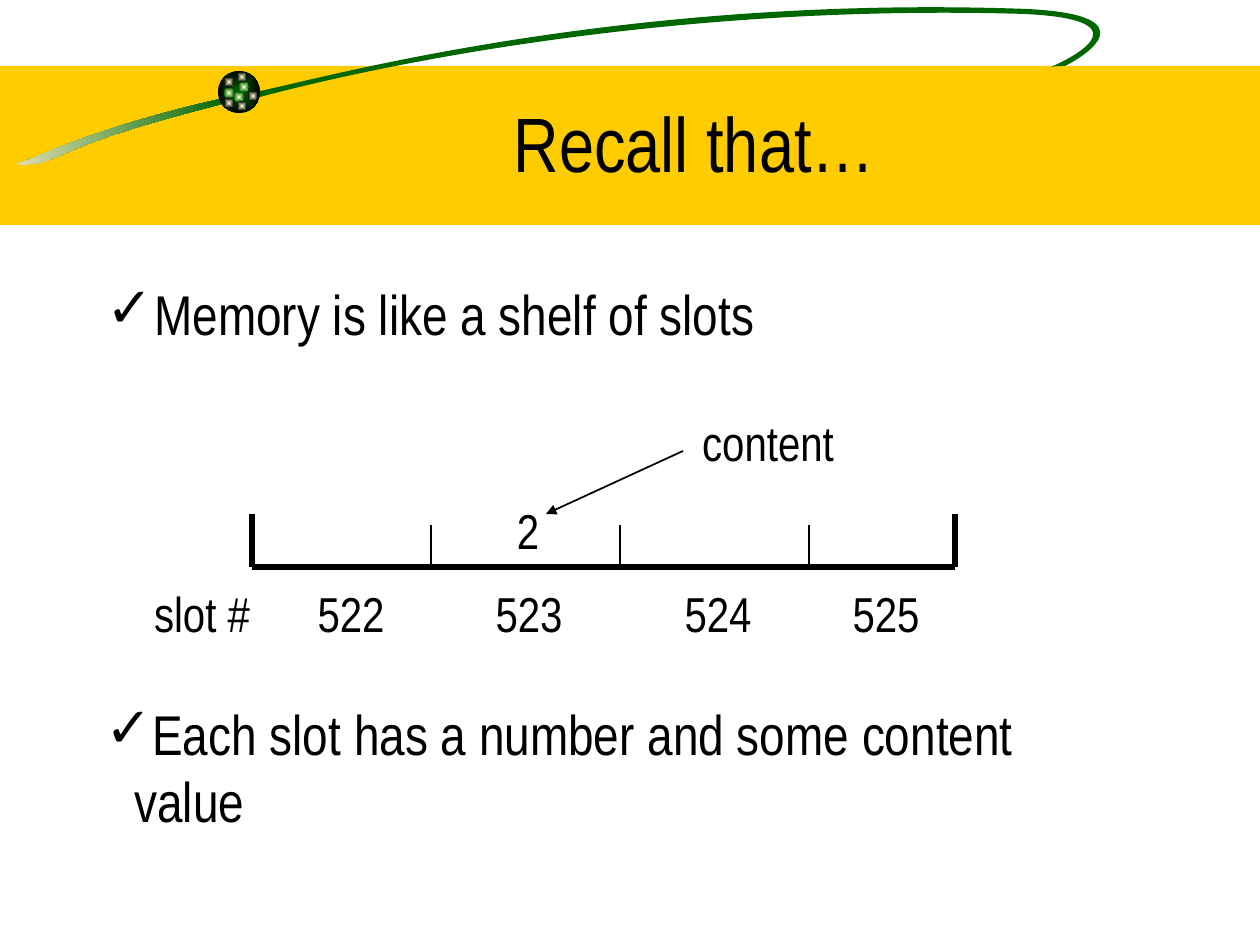
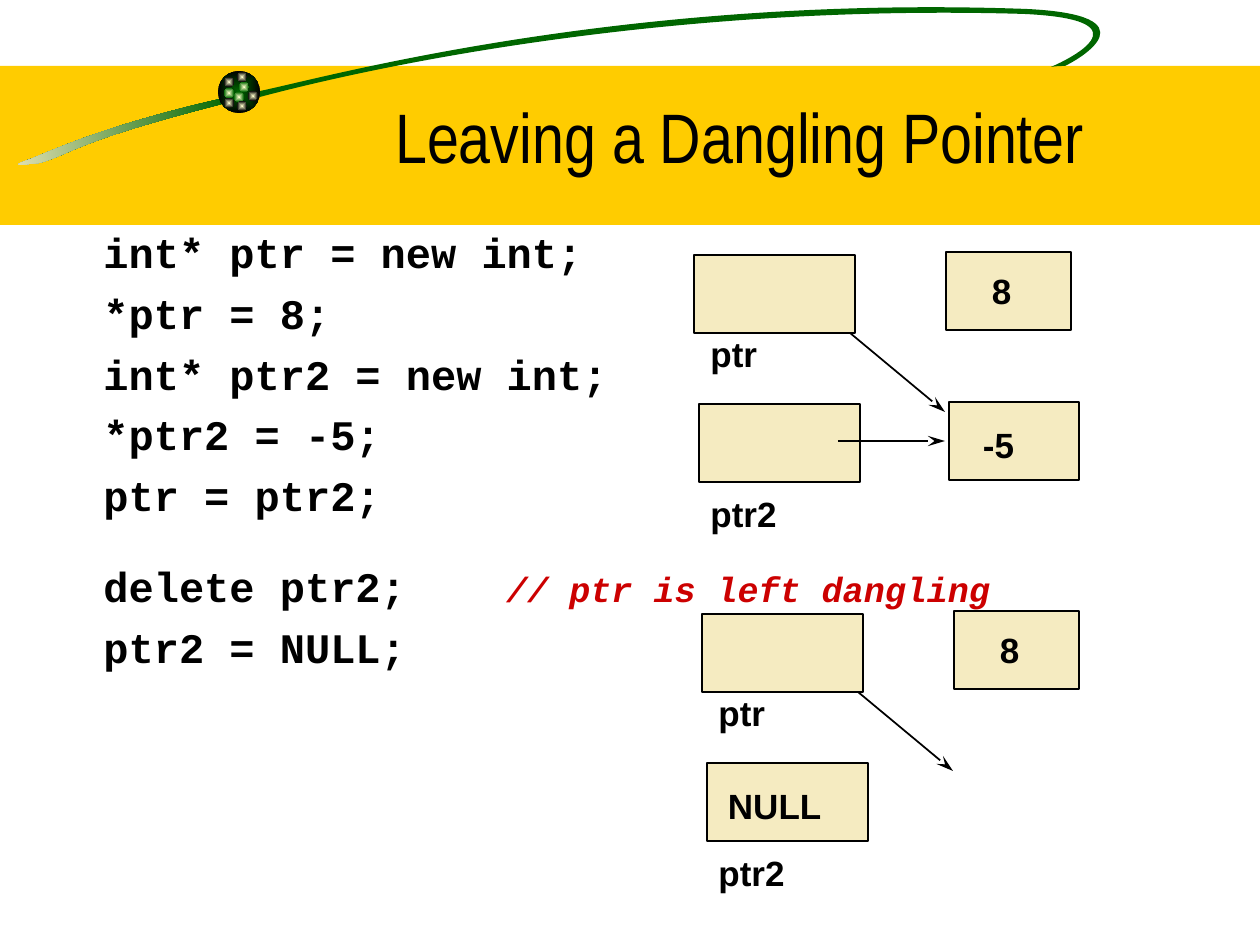
import dataclasses
import math

import lxml.etree
import pptx
import pptx.dml.color
import pptx.enum.shapes
import pptx.enum.text
import pptx.oxml.ns
import pptx.util

PX = 914400 / 126
TILT = -8.5
QN = pptx.oxml.ns.qn
SHAPE = pptx.enum.shapes.MSO_SHAPE
ANCHOR = pptx.enum.text.MSO_ANCHOR
ALIGN = pptx.enum.text.PP_ALIGN


@dataclasses.dataclass(frozen=True)
class Theme:
    """Colours, fonts and type sizes of the deck."""
    black: str = "000000"
    white: str = "FFFFFF"
    band: str = "FFCC00"
    green: str = "006600"
    cream: str = "F5EBC1"
    spark: str = "FFFFCC"
    red: str = "CC0000"
    narrow: str = "Arial Narrow"
    sans: str = "Arial"
    mono: str = "Courier New"
    point: int = 32
    label: int = 28
    code: int = 24
    small: int = 20


T = Theme()


def emu(*nums):
    """Turn px into EMU."""
    return [pptx.util.Emu(round(num * PX)) for num in nums]


def rgb(code):
    """Give the colour of a hex code."""
    return pptx.dml.color.RGBColor.from_string(code)


def node(parent, tag, **attrs):
    """Append a drawing element."""
    return lxml.etree.SubElement(parent, QN("a:" + tag), attrs)


def write(par, words, size, font=T.narrow, color=T.black, bold=False, slant=False):
    """Add one formatted run."""
    run = par.add_run()
    run.text = words
    run.font.name, run.font.size = font, pptx.util.Pt(size)
    run.font.bold, run.font.italic = bold, slant
    run.font.color.rgb = rgb(color)


def frame(slide, box, wrap=False, anchor=ANCHOR.TOP):
    """Add a text box and return its frame."""
    text = slide.shapes.add_textbox(*emu(*box)).text_frame
    text.word_wrap, text.vertical_anchor = wrap, anchor
    return text


def title(slide, words, box, size, anchor):
    """Place the title in front of the band."""
    head = slide.shapes.title
    head.left, head.top, head.width, head.height = emu(*box)
    text = head.text_frame
    text.auto_size = pptx.enum.text.MSO_AUTO_SIZE.NONE
    text.vertical_anchor = anchor
    par = text.paragraphs[0]
    par.alignment = ALIGN.CENTER
    write(par, words, size)
    head.element.getparent().append(head.element)


def bullet(slide, words, box, indent):
    """Add a ticked line of text."""
    par = frame(slide, box, wrap=True).paragraphs[0]
    par.space_before = pptx.util.Pt(8)
    props = par._p.get_or_add_pPr()
    hang = emu(indent)[0]
    props.set("marL", str(hang))
    props.set("indent", str(-hang))
    node(props, "buFont", typeface=T.narrow)
    node(props, "buChar", char="✓")
    write(par, words, T.point)


def label(slide, words, mid, top, width=92):
    """Add a label centred on mid."""
    box = (mid - width / 2, top, width, 72)
    par = frame(slide, box, anchor=ANCHOR.BOTTOM).paragraphs[0]
    par.alignment = ALIGN.CENTER
    write(par, words, T.label)


def line(slide, start, end, width=1, head=None, size="med"):
    """Draw a straight line, with an arrowhead if named."""
    kind = pptx.enum.shapes.MSO_CONNECTOR.STRAIGHT
    link = slide.shapes.add_connector(kind, *emu(*start, *end))
    link.line.color.rgb = rgb(T.black)
    link.line.width = pptx.util.Pt(width)
    if head:
        node(link.line._get_or_add_ln(), "tailEnd", type=head, w="med", len=size)
    node(link._element.spPr, "effectLst")


def plain(shape, fill=None):
    """Drop shadow and outline, and fill if a colour is given."""
    shape.shadow.inherit = False
    shape.line.fill.background()
    if fill:
        shape.fill.solid()
        shape.fill.fore_color.rgb = rgb(fill)
    return shape


def block(slide, box, fill):
    """Draw a filled rectangle."""
    return plain(slide.shapes.add_shape(SHAPE.RECTANGLE, *emu(*box)), fill)


def blend(shape, first, last, angle=0):
    """Fill with a two-colour gradient."""
    shape.fill.gradient()
    shape.fill.gradient_angle = angle
    for stop, color in zip(shape.fill.gradient_stops, (first, last)):
        stop.color.rgb = rgb(color)


def bead(slide, left, top, size, inner, outer):
    """Draw a round bead shaded from its centre."""
    dot = plain(slide.shapes.add_shape(SHAPE.OVAL, *emu(left, top, size, size)))
    blend(dot, inner, outer)
    grad = dot._element.spPr.find(QN("a:gradFill"))
    grad.remove(grad.find(QN("a:lin")))
    node(node(grad, "path", path="rect"), "fillToRect",
         l="50000", t="50000", r="50000", b="50000")


def turn(dot, angle):
    """Rotate a point about the corner of the slide."""
    x, y = dot
    cos, sin = math.cos(math.radians(angle)), math.sin(math.radians(angle))
    return x * cos - y * sin, x * sin + y * cos


def curve(slide, start, bends):
    """Draw a tilted closed outline of cubic bends."""
    knots = [emu(*turn(dot, -TILT)) for bend in bends for dot in bend]
    pen = slide.shapes.build_freeform(*emu(*turn(start, -TILT)))
    pen.add_line_segments(knots, close=True)
    shape = plain(pen.convert_to_shape())
    legs = list(shape._element.iter(QN("a:lnTo")))[:len(knots)]
    for first in range(0, len(legs), 3):
        cubic = lxml.etree.Element(QN("a:cubicBezTo"))
        legs[first].addprevious(cubic)
        for leg in legs[first:first + 3]:
            cubic.append(leg[0])
            leg.getparent().remove(leg)
    half = shape.width / 2, shape.height / 2
    x, y = turn((shape.left + half[0], shape.top + half[1]), TILT)
    shape.left, shape.top = round(x - half[0]), round(y - half[1])
    shape.rotation = TILT
    return shape


def banner(slide):
    """Draw the band, the swoosh, the beads and the pale strip."""
    block(slide, (0, 66, 1260, 159), T.band)
    tail = curve(slide, (224, 98), [
        ((115, 123), (62, 146), (31, 159)),
        ((1, 169), (33, 163), (39, 163)),
        ((72, 154), (72, 142), (226, 103)),
        ((226, 103), (224, 98), (224, 98))])
    blend(tail, T.green, T.cream, 180)
    loop = curve(slide, (255, 92), [
        ((310, 82), (612, -6), (1026, 9)),
        ((1155, 15), (1080, 59), (1065, 66)),
        ((1065, 66), (1056, 66), (1051, 67)),
        ((1063, 62), (1154, 20), (1024, 14)),
        ((690, 4), (403, 59), (260, 97)),
        ((260, 97), (255, 92), (255, 92))])
    plain(loop, T.green)
    bead(slide, 218, 71, 42, T.green, T.black)
    for left, top, edge in (
            (239, 82, T.green), (224, 77, T.black), (224, 88, T.green),
            (234, 92, T.green), (248, 91, T.black), (237, 101, T.black),
            (224, 98, T.black), (237, 72, T.black)):
        bead(slide, left, top, 10, T.spark, edge)
    strip = block(slide, (93, 260, 154, 685), T.white)
    node(next(strip._element.spPr.iter(QN("a:srgbClr"))), "alpha", val="50000")


def shelf(slide):
    """Draw the shelf of numbered slots."""
    left, right, base = 252, 955, 567
    for side in (left, right):
        line(slide, (side, 514), (side, base), 3)
    line(slide, (left, base), (right, base), 3)
    for gap in range(3):
        side = 431 + 189 * gap
        line(slide, (side, 525), (side, base))
    label(slide, "slot #", 202, 577, 122)
    for words, mid in (("522", 351), ("523", 529), ("524", 718), ("525", 886)):
        label(slide, words, mid, 577)
    label(slide, "2", 528, 494, 48)
    label(slide, "content", 768, 406, 160)
    line(slide, (683, 451), (546, 514), head="triangle")


def code(slide):
    """Write the program lines."""
    text = frame(slide, (91, 220, 1090, 617), wrap=True)
    rows = ("int* ptr = new int;", "*ptr = 8;", "int* ptr2 = new int;",
            "*ptr2 = -5;", "ptr = ptr2;", "delete ptr2;\t", "ptr2 = NULL;")
    for num, row in enumerate(rows):
        par = text.add_paragraph() if num else text.paragraphs[0]
        drop = row.startswith("delete")
        par.space_before = pptx.util.Pt(23 if drop else 6)
        write(par, row, T.code, T.mono, bold=True)
        if drop:
            tabs = node(par._p.get_or_add_pPr(), "tabLst")
            node(tabs, "tab", pos=str(emu(403)[0]), algn="l")
            write(par, "// ptr is left dangling", T.small, T.mono, T.red, True, True)


def cell(slide, box, words="", inset=0, drop=22):
    """Draw a memory cell with its value."""
    rect = block(slide, box, T.cream)
    rect.line.color.rgb = rgb(T.black)
    rect.line.width = pptx.util.Pt(1)
    if words:
        text = rect.text_frame
        text.word_wrap, text.vertical_anchor = False, ANCHOR.TOP
        text.margin_left, text.margin_top = emu(inset, drop)
        text.paragraphs[0].alignment = ALIGN.LEFT
        write(text.paragraphs[0], words, T.small, T.sans, bold=True)


def store(slide, x, y, words=""):
    """Draw both pointers and the lost cell from a corner."""
    line(slide, (x + 138, y + 66), (x + 251, y + 160), head="stealth", size="lg")
    cell(slide, (x, y + 3, 161, 78))
    cell(slide, (x + 5, y + 152, 161, 78), words, 21)
    cell(slide, (x + 252, y, 125, 78), "8", 46, 18)
    for name, top in (("ptr", 74), ("ptr2", 234)):
        par = frame(slide, (x + 4, y + top, 120, 52)).paragraphs[0]
        write(par, name, T.small, T.sans, bold=True)


def main():
    """Build and save the deck."""
    deck = pptx.Presentation()
    deck.slide_width, deck.slide_height = emu(1260, 945)
    layout = deck.slide_layouts[5]

    slide = deck.slides.add_slide(layout)
    banner(slide)
    title(slide, "Recall that…", (159, 63, 1071, 158), 44, ANCHOR.MIDDLE)
    bullet(slide, "Memory is like a shelf of slots", (94, 273, 1071, 94), 48)
    bullet(slide, "Each slot has a number and some content value",
           (93, 693, 1000, 147), 29)
    shelf(slide)

    slide = deck.slides.add_slide(layout)
    banner(slide)
    title(slide, "Leaving a Dangling Pointer", (199, 43, 1081, 141), 40, ANCHOR.BOTTOM)
    code(slide)
    store(slide, 694, 252)
    cell(slide, (949, 402, 130, 78), "-5", 34)
    line(slide, (838, 441), (945, 441), head="stealth", size="lg")
    store(slide, 702, 611, "NULL")

    deck.save("out.pptx")


if __name__ == "__main__":
    main()
